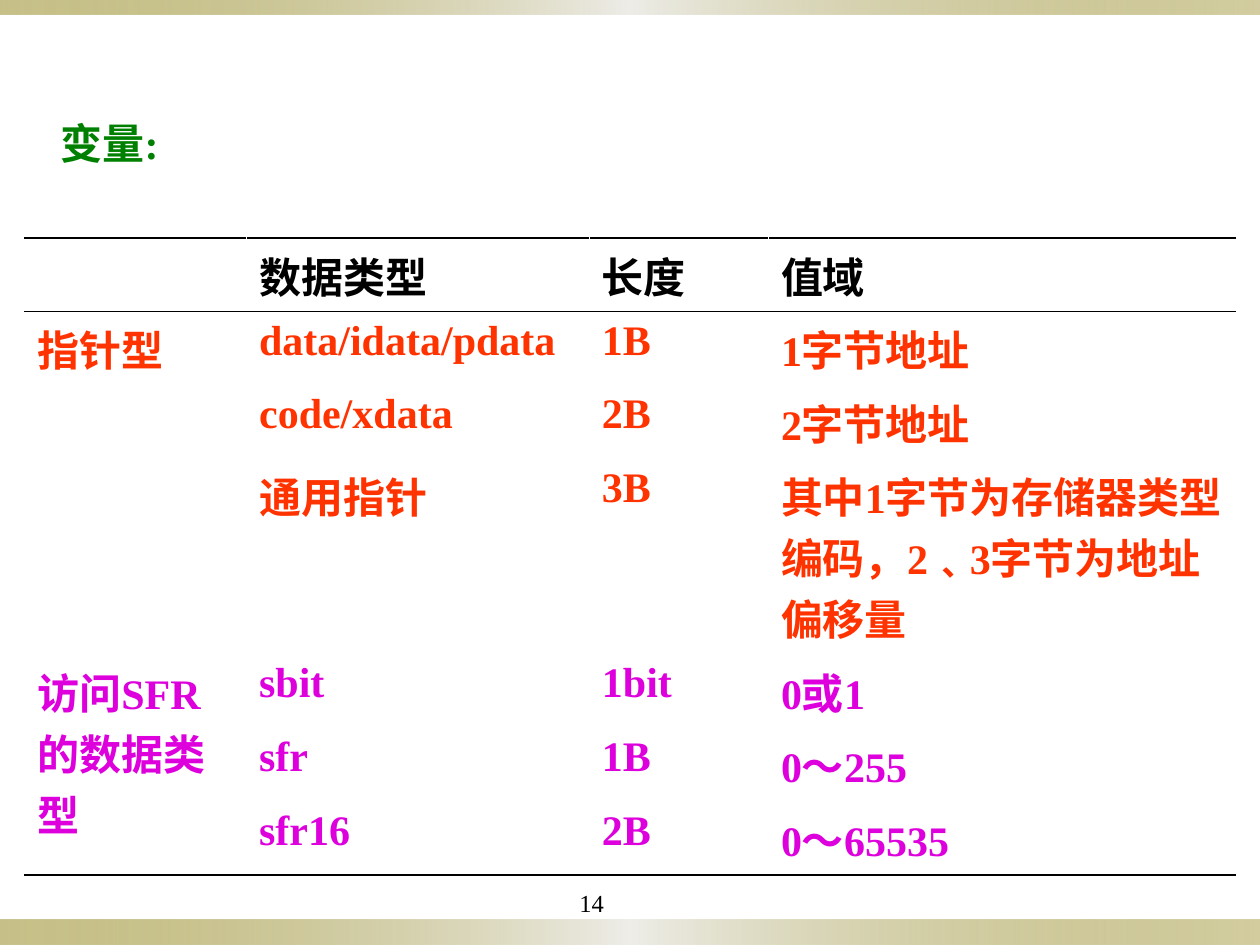
from dataclasses import dataclass

from pptx import Presentation
from pptx.dml.color import RGBColor
from pptx.enum import shapes, text
from pptx.oxml import parse_xml
from pptx.oxml.ns import nsdecls, qn
from pptx.util import Cm, Pt


@dataclass(frozen=True)
class Theme:
    font: str = "Times New Roman"
    body: int = 24
    small: int = 14
    ink: str = "000000"
    paper: str = "FFFFFF"
    title: str = "008000"
    pointer: str = "FF3300"
    sfr: str = "DD00DD"
    # position %, colour, opacity %
    bar: tuple = ((0, "918415", 50), (50, "EEEDE8", 100), (100, "918415", 40))


T = Theme()
COLS = (4.47, 6.91, 3.61, 1.17, 8.25)
ROWS = (1.27, 1.27, 1.27, 1.27, 3.3, 1.27, 1.27, 1.27)
HEADER = ("数据类型", "长度", "值域")
GROUPS = (
    ("指针型", T.pointer, (
        ("data/idata/pdata", "1B", "1字节地址"),
        ("code/xdata", "2B", "2字节地址"),
        ("通用指针", "3B", "其中1字节为存储器类型编码，2﹑3字节为地址偏移量"))),
    ("访问SFR的数据类型", T.sfr, (
        ("sbit", "1bit", "0或1"),
        ("sfr", "1B", "0～255"),
        ("sfr16", "2B", "0～65535"))),
)
RULED_ROWS = (0, 1, 7)  # rows with a dark line below


def write(tf, words, size, color, bold=False):
    p = tf.paragraphs[0]
    p.text = words
    p.alignment = text.PP_ALIGN.LEFT
    p.font.name = T.font
    p.font.size = Pt(size)
    p.font.bold = bold
    p.font.color.rgb = RGBColor.from_string(color)


def add_bar(s, x, y, w, h):
    sp = s.shapes.add_shape(shapes.MSO_SHAPE.RECTANGLE, x, y, w, h)
    sp.shadow.inherit = False
    sp.line.fill.background()
    sp.fill.gradient()
    sp.fill.gradient_angle = 0
    stops = "".join(
        f'<a:gs pos="{pos * 1000}"><a:srgbClr val="{color}">'
        f'<a:alpha val="{alpha * 1000}"/></a:srgbClr></a:gs>'
        for pos, color, alpha in T.bar)
    old = next(sp.element.iter(qn("a:gsLst")))
    old.getparent().replace(
        old, parse_xml(f'<a:gsLst {nsdecls("a")}>{stops}</a:gsLst>'))


def place_title(s, x, y, w, h):
    sp = s.shapes.title
    sp.left, sp.top, sp.width, sp.height = x, y, w, h
    tf = sp.text_frame
    tf.auto_size = text.MSO_AUTO_SIZE.NONE
    tf.vertical_anchor = text.MSO_ANCHOR.MIDDLE
    write(tf, "变量:", T.body, T.title, bold=True)


def set_borders(cell, top, bottom):
    sides = (("L", T.paper), ("R", T.paper), ("T", top), ("B", bottom))
    for i, (side, color) in enumerate(sides):
        cell._tc.get_or_add_tcPr().insert(i, parse_xml(
            f'<a:ln{side} {nsdecls("a")} w="12700"><a:solidFill>'
            f'<a:srgbClr val="{color}"/></a:solidFill></a:ln{side}>'))


def rule_color(row):
    return T.ink if row in RULED_ROWS else T.paper


def add_type_table(s, x, y, w, h):
    table = s.shapes.add_table(len(ROWS), len(COLS), x, y, w, h).table
    table.first_row = table.horz_banding = False
    for col, width in zip(table.columns, COLS):
        col.width = Cm(width)
    for row, height in zip(table.rows, ROWS):
        row.height = Cm(height)

    table.cell(0, 0).merge(table.cell(0, 3))
    for r in range(1, len(ROWS)):
        table.cell(r, 3).merge(table.cell(r, 4))

    def fill_row(r, values, color):
        for c, words in enumerate(values, 1):
            write(table.cell(r, c).text_frame, words, T.body, color, bold=True)

    fill_row(1, HEADER, T.ink)
    r = 2
    for name, color, rows in GROUPS:
        group = table.cell(r, 0)
        group.merge(table.cell(r + len(rows) - 1, 0))
        write(group.text_frame, name, T.body, color, bold=True)
        for values in rows:
            fill_row(r, values, color)
            r += 1

    for r in range(len(ROWS)):
        for c in range(len(COLS)):
            cell = table.cell(r, c)
            cell.fill.background()
            last = r + cell.span_height - 1
            set_borders(cell, rule_color(r - 1), rule_color(last))


def add_page_number(s, x, y, w, h):
    tf = s.shapes.add_textbox(x, y, w, h).text_frame
    tf.word_wrap = True
    write(tf, "14", T.small, T.ink)


def main():
    prs = Presentation()
    prs.slide_width, prs.slide_height = Cm(25.4), Cm(19.05)
    s = prs.slides.add_slide(prs.slide_layouts[5])
    add_bar(s, 0, Cm(18.54), prs.slide_width, Cm(0.51))
    add_bar(s, 0, 0, prs.slide_width, Cm(0.3))
    add_type_table(s, Cm(0.5), Cm(3.53), Cm(sum(COLS)), Cm(sum(ROWS)))
    add_page_number(s, Cm(11.43), Cm(17.78), Cm(2.54), Cm(0.79))
    place_title(s, Cm(0.97), Cm(2.24), Cm(3.18), Cm(1.27))
    prs.save("out.pptx")


if __name__ == "__main__":
    main()
